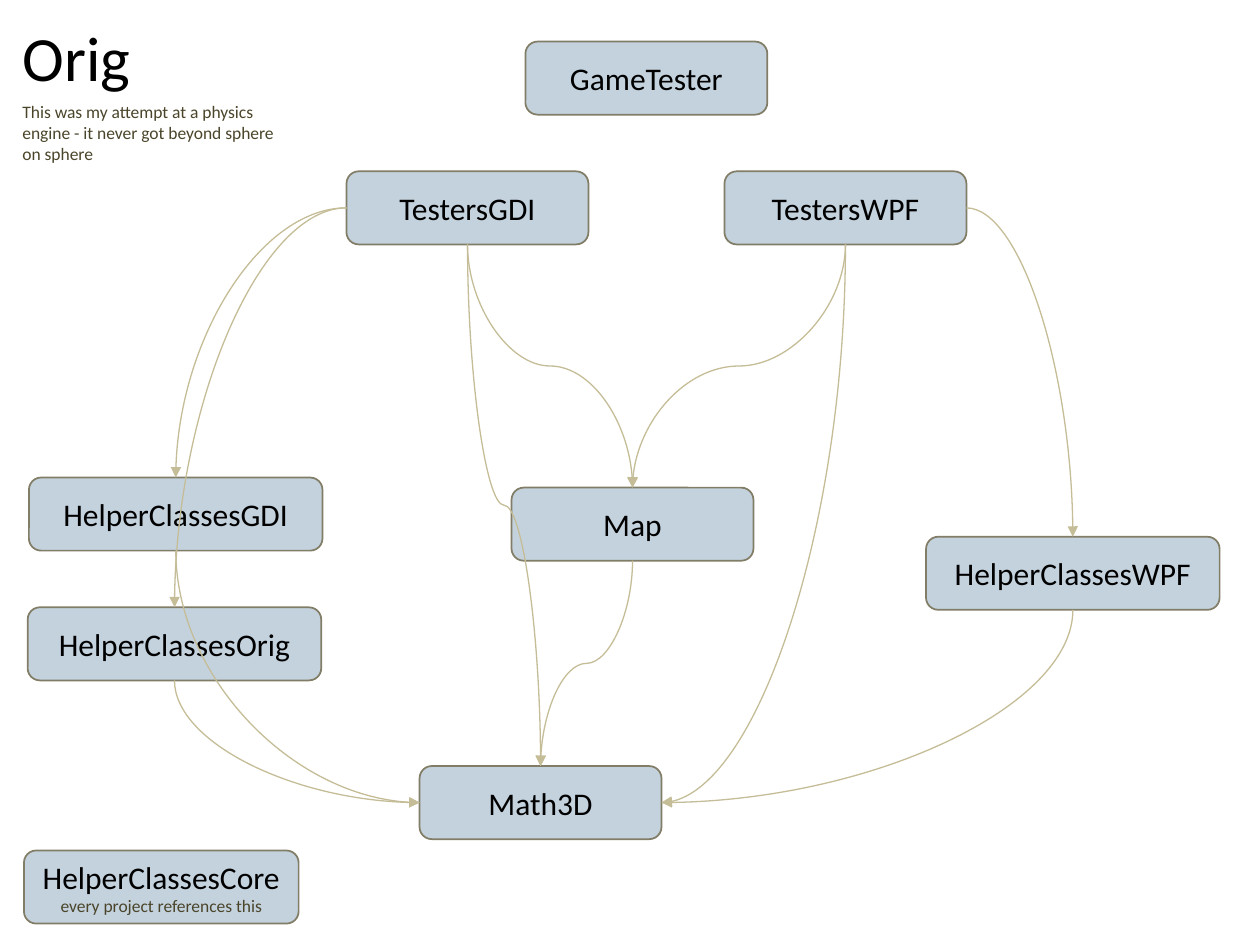
from dataclasses import dataclass

from lxml import etree
from pptx import Presentation
from pptx.dml.color import RGBColor
from pptx.enum.shapes import MSO_CONNECTOR, MSO_SHAPE
from pptx.enum.text import MSO_ANCHOR, MSO_AUTO_SIZE, PP_ALIGN
from pptx.oxml.ns import qn
from pptx.util import Inches, Pt

ROUNDED = MSO_SHAPE.ROUNDED_RECTANGLE
CURVE = MSO_CONNECTOR.CURVE
CENTER, LEFT = PP_ALIGN.CENTER, PP_ALIGN.LEFT
MIDDLE, TOP_ANCHOR = MSO_ANCHOR.MIDDLE, MSO_ANCHOR.TOP
FIT_SHAPE, NO_FIT = MSO_AUTO_SIZE.SHAPE_TO_FIT_TEXT, MSO_AUTO_SIZE.NONE
TOP, SIDE_LEFT, BOTTOM, SIDE_RIGHT = range(4)

FONT = "Calibri"
BLACK, OLIVE, TAN = "000000", "4A452A", "C4BD97"
BOX_FILL, BOX_LINE = "C4D2DE", "827D66"
BOX_H = 0.58
NARROW, WIDE = 1.92, 2.33


@dataclass
class Box:
    name: str
    x: float
    y: float
    w: float = NARROW
    note: str = ""


@dataclass
class Link:
    source: str
    start: int
    target: str
    end: int


BOXES = [
    Box("HelperClassesCore", 0.19, 6.75, 2.18, "every project references this"),
    Box("GameTester", 4.17, 0.33),
    Box("TestersWPF", 5.75, 1.36),
    Box("Math3D", 3.33, 6.08),
    Box("HelperClassesWPF", 7.35, 4.26, WIDE),
    Box("Map", 4.06, 3.87),
    Box("TestersGDI", 2.75, 1.36),
    Box("HelperClassesGDI", 0.23, 3.79, WIDE),
    Box("HelperClassesOrig", 0.22, 4.82, WIDE),
]

LINKS = [
    Link("TestersWPF", SIDE_RIGHT, "HelperClassesWPF", TOP),
    Link("TestersWPF", BOTTOM, "Map", TOP),
    Link("TestersWPF", BOTTOM, "Math3D", SIDE_RIGHT),
    Link("TestersGDI", SIDE_LEFT, "HelperClassesGDI", TOP),
    Link("TestersGDI", SIDE_LEFT, "HelperClassesOrig", TOP),
    Link("TestersGDI", BOTTOM, "Map", TOP),
    Link("TestersGDI", BOTTOM, "Math3D", TOP),
    Link("Map", BOTTOM, "Math3D", TOP),
    Link("HelperClassesWPF", BOTTOM, "Math3D", SIDE_RIGHT),
    Link("HelperClassesOrig", BOTTOM, "Math3D", SIDE_LEFT),
    Link("HelperClassesGDI", BOTTOM, "Math3D", SIDE_LEFT),
]


def rgb(value: str) -> RGBColor:
    return RGBColor.from_string(value)


def set_attrs(obj, values: dict) -> None:
    for name, value in values.items():
        setattr(obj, name, value)


def write_line(p, text: str, size: float, color: str, align) -> None:
    p.alignment = align
    r = p.add_run()
    r.text = text
    set_attrs(r.font, {"name": FONT, "size": Pt(size)})
    r.font.color.rgb = rgb(color)


def write_lines(tf, lines: list, align) -> None:
    for i, (text, size, color) in enumerate(lines):
        p = tf.paragraphs[0] if i == 0 else tf.add_paragraph()
        write_line(p, text, size, color, align)


def draw_box(s, box: Box):
    sp = s.shapes.add_shape(ROUNDED, Inches(box.x), Inches(box.y), Inches(box.w), Inches(BOX_H))
    sp.shadow.inherit = False
    sp.fill.solid()
    sp.fill.fore_color.rgb = rgb(BOX_FILL)
    sp.line.color.rgb = rgb(BOX_LINE)
    sp.line.width = Pt(1)
    tf = sp.text_frame
    set_attrs(tf, {"vertical_anchor": MIDDLE, "word_wrap": True})
    lines = [(box.name, 18, BLACK)]
    if box.note:
        lines.append((box.note, 10, OLIVE))
    write_lines(tf, lines, CENTER)
    return sp


def turn_curve(c, link: Link) -> None:
    x1, y1, x2, y2 = c.begin_x, c.begin_y, c.end_x, c.end_y
    w, h = abs(x2 - x1), abs(y2 - y1)
    rightward = x2 > x1
    if link.start == BOTTOM:
        w, h = h, w
        degrees, flip = (270, "flipH") if rightward else (90, "")
    else:
        degrees, flip = (0, "") if rightward else (180, "flipV")
    set_attrs(c, {
        "left": (x1 + x2 - w) // 2,
        "top": (y1 + y2 - h) // 2,
        "width": w,
        "height": h,
    })
    spPr = c._element.spPr
    xfrm = spPr.find(qn("a:xfrm"))
    for name in ("flipH", "flipV"):
        xfrm.attrib.pop(name, None)
    xfrm.set("rot", str(degrees * 60000))
    if flip:
        xfrm.set(flip, "1")
    if (link.start, link.end) != (BOTTOM, TOP):
        spPr.find(qn("a:prstGeom")).set("prst", "curvedConnector2")


def draw_link(s, link: Link, shapes: dict) -> None:
    c = s.shapes.add_connector(CURVE, 0, 0, 0, 0)
    c.begin_connect(shapes[link.source], link.start)
    c.end_connect(shapes[link.target], link.end)
    turn_curve(c, link)
    c.line.color.rgb = rgb(TAN)
    c.line.width = Pt(0.75)
    spPr = c._element.spPr
    etree.SubElement(spPr.find(qn("a:ln")), qn("a:tailEnd"), type="triangle")
    etree.SubElement(spPr, qn("a:effectLst"))


def main() -> None:
    prs = Presentation()
    set_attrs(prs, {"slide_width": Inches(10), "slide_height": Inches(7.5)})
    s = prs.slides.add_slide(prs.slide_layouts[5])

    title = s.shapes.title
    set_attrs(title, {"left": Inches(0.08), "top": Inches(0.1),
                      "width": Inches(1.07), "height": Inches(0.71)})
    set_attrs(title.text_frame, {"word_wrap": False, "auto_size": NO_FIT,
                                 "vertical_anchor": TOP_ANCHOR})
    write_lines(title.text_frame, [("Orig", 36, BLACK)], LEFT)

    note = s.shapes.add_textbox(Inches(0.08), Inches(0.75), Inches(2.23), Inches(0.61))
    set_attrs(note.text_frame, {"word_wrap": False, "auto_size": FIT_SHAPE})
    sentences = ["This was my attempt at a physics",
                 "engine - it never got beyond sphere",
                 "on sphere"]
    write_lines(note.text_frame, [(text, 10, OLIVE) for text in sentences], LEFT)

    shapes = {box.name: draw_box(s, box) for box in BOXES}
    for link in LINKS:
        draw_link(s, link, shapes)
    prs.save("out.pptx")


if __name__ == "__main__":
    main()
